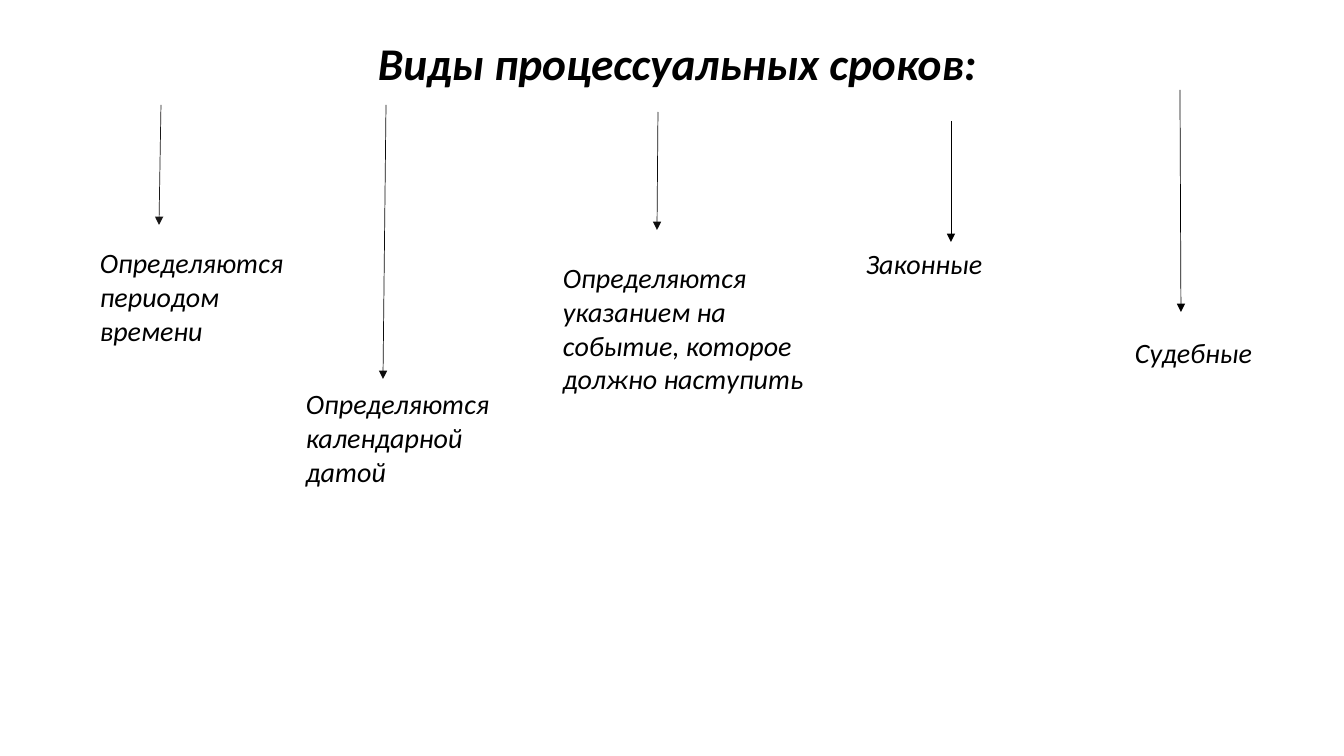
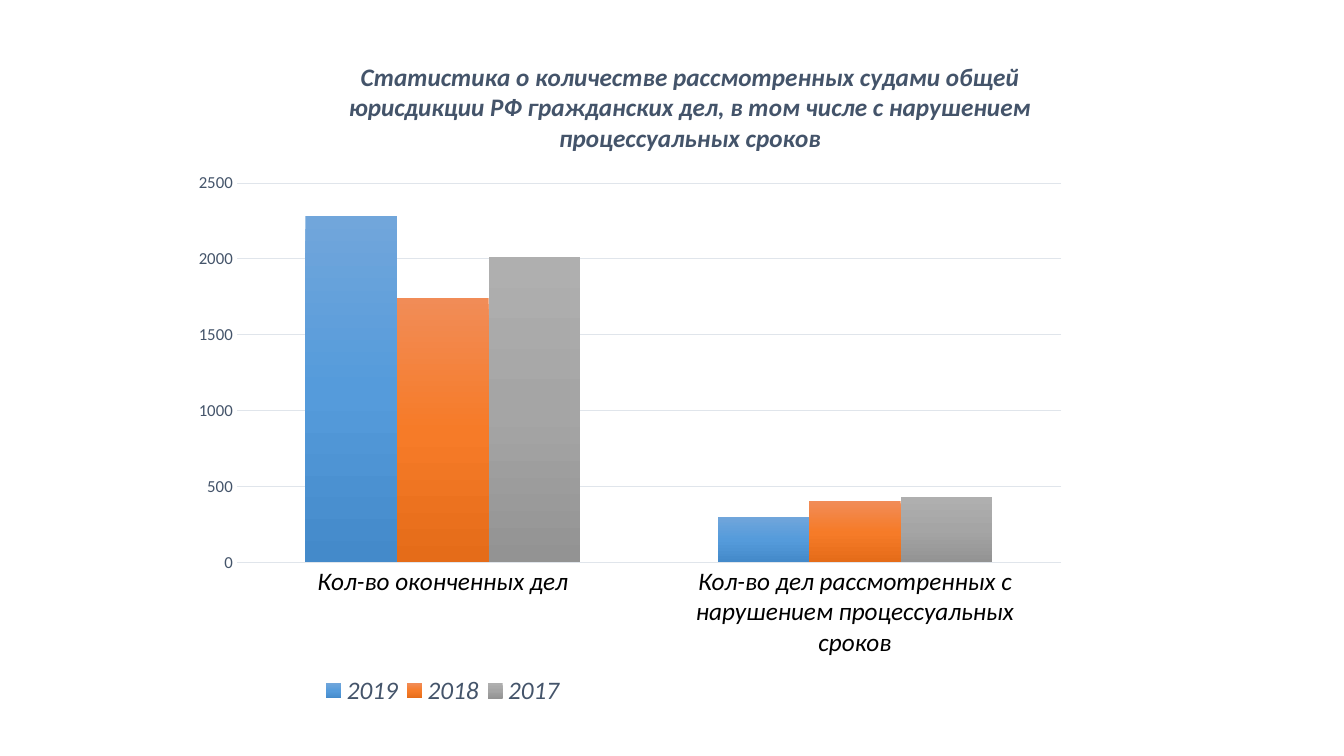
import copy
import pptx
import pptx.chart.data
import pptx.dml.color
import pptx.enum.chart
import pptx.enum.shapes
import pptx.enum.text
import pptx.oxml
import pptx.oxml.ns
import pptx.util
from dataclasses import dataclass

RGB = pptx.dml.color.RGBColor.from_string
qn = pptx.oxml.ns.qn
Pt = pptx.util.Pt
PX = 12192000 // 1344  # EMU in one pixel


@dataclass(frozen=True)
class Theme:
    font: str = "Calibri"
    ink: str = "000000"
    soft_ink: str = "0D0D0D"
    warm_ink: str = "181717"
    slate: str = "44546A"
    grid: str = "E0E5EB"
    heading: float = 32.4
    body: int = 20
    chart_text: int = 18
    scale_text: int = 12
    arrow: float = 0.5
    rule: float = 0.75


theme = Theme()


def write_text(frame, text, size=theme.body, color=theme.ink, bold=False,
               align=None, spacing=None):
    paragraph = frame.paragraphs[0]
    paragraph.alignment = align
    paragraph.line_spacing = spacing
    run = paragraph.add_run()
    run.text = text
    run.font.name = theme.font
    run.font.size = Pt(size)
    run.font.bold = bold
    run.font.italic = True
    run.font.color.rgb = RGB(color)


def place_part(part, index, mode="", **fractions):
    """Give a chart part a fixed place, as fractions of the chart."""
    for old in part.findall(qn("c:layout")):
        part.remove(old)
    modes = '<c:xMode val="edge"/><c:yMode val="edge"/>'
    sizes = "".join(f'<c:{key} val="{value}"/>' for key, value in fractions.items())
    part.insert(index, pptx.oxml.parse_xml(
        f'<c:layout {pptx.oxml.ns.nsdecls("c")}><c:manualLayout>'
        f'{mode}{modes}{sizes}</c:manualLayout></c:layout>'))


deck = pptx.Presentation()
deck.slide_width = 1344 * PX
deck.slide_height = 756 * PX
blank = deck.slide_layouts[6]
CENTER = pptx.enum.text.PP_ALIGN.CENTER

# Slide 1: kinds of terms
kinds = deck.slides.add_slide(blank)
heading = kinds.shapes.add_textbox(98 * PX, 31 * PX, 1159 * PX, 95 * PX).text_frame
heading.word_wrap = True
heading.margin_top = 10 * PX
write_text(heading, "Виды процессуальных сроков:", size=theme.heading, bold=True,
           align=CENTER, spacing=0.9)

# Each kind: text, box, arrow ends, arrow colour
branches = [
    ("Определяются периодом времени", (90, 241, 207, 112),
     (161, 105, 159, 225), theme.warm_ink),
    ("Определяются календарной датой", (296, 382, 236, 112),
     (386, 105, 383, 379), theme.soft_ink),
    ("Определяются указанием на событие, которое должно наступить",
     (553, 256, 270, 146), (658, 112, 657, 230), theme.soft_ink),
    ("Законные", (856, 242, 228, 44), (951, 121, 951, 242), theme.ink),
    ("Судебные", (1125, 331, 186, 44), (1180, 90, 1181, 312), theme.ink),
]
for kind, box, ends, color in branches:
    arrow = kinds.shapes.add_connector(
        pptx.enum.shapes.MSO_CONNECTOR.STRAIGHT, *(n * PX for n in ends))
    arrow.line.color.rgb = RGB(color)
    arrow.line.width = Pt(theme.arrow)
    arrow.line._get_or_add_ln().append(pptx.oxml.parse_xml(
        f'<a:tailEnd {pptx.oxml.ns.nsdecls("a")} type="triangle"/>'))
    arrow._element.spPr.append(pptx.oxml.parse_xml(
        f'<a:effectLst {pptx.oxml.ns.nsdecls("a")}/>'))
    label = kinds.shapes.add_textbox(*(n * PX for n in box)).text_frame
    label.word_wrap = True
    label.auto_size = pptx.enum.text.MSO_AUTO_SIZE.SHAPE_TO_FIT_TEXT
    write_text(label, kind)

# Slide 2: case statistics
statistics = deck.slides.add_slide(blank)
years = [
    ("2019", (2280, 300), ("71A6DB", "559BDB", "448ACA")),
    ("2018", (1740, 400), ("F18C57", "F67B28", "E56C19")),
    ("2017", (2010, 430), ("AFAFAF", "A5A5A5", "939393")),
]
cases = pptx.chart.data.CategoryChartData()
cases.categories = ["Кол-во оконченных дел",
                    "Кол-во дел рассмотренных с нарушением процессуальных сроков"]
for year, counts, _ in years:
    cases.add_series(year, counts)
chart = statistics.shapes.add_chart(
    pptx.enum.chart.XL_CHART_TYPE.COLUMN_CLUSTERED,
    183 * PX, 41 * PX, 896 * PX, 677 * PX, cases).chart
chart.font.name = theme.font
chart.font.size = Pt(10)
chart.font.color.rgb = RGB(theme.ink)

write_text(chart.chart_title.text_frame,
           "Статистика о количестве рассмотренных судами общей юрисдикции РФ "
           "гражданских дел, в том числе с нарушением процессуальных сроков",
           size=theme.chart_text, color=theme.slate, bold=True, align=CENTER)

# Columns with three-stop gradients
plot = chart.plots[0]
plot.gap_width = 150
plot.overlap = 0
plot.vary_by_categories = False
for series, (_, _, shades) in zip(plot.series, years):
    fill = series.format.fill
    fill.gradient()
    fill.gradient_angle = 270
    stops = series._element.find(".//" + qn("a:gsLst"))
    stops.append(copy.deepcopy(stops[0]))
    for stop, position, shade in zip(fill.gradient_stops, (0, 0.5, 1), shades):
        stop.position = position
        stop.color.rgb = RGB(shade)

# Axes and legend
category_axis, value_axis = chart.category_axis, chart.value_axis
value_axis.minimum_scale = 0
value_axis.maximum_scale = 2500
value_axis.major_unit = 500
value_axis.has_major_gridlines = True
value_axis.format.line.fill.background()
for axis in (category_axis, value_axis):
    axis.major_tick_mark = pptx.enum.chart.XL_TICK_MARK.NONE
for line in (category_axis.format.line, value_axis.major_gridlines.format.line):
    line.color.rgb = RGB(theme.grid)
    line.width = Pt(theme.rule)

chart.has_legend = True
legend = chart.legend
legend.position = pptx.enum.chart.XL_LEGEND_POSITION.BOTTOM
legend.include_in_layout = False
for font, size, color, italic in (
        (category_axis.tick_labels.font, theme.chart_text, theme.ink, True),
        (value_axis.tick_labels.font, theme.scale_text, theme.slate, False),
        (legend.font, theme.chart_text, theme.slate, True)):
    font.name = theme.font
    font.size = Pt(size)
    font.italic = italic
    font.color.rgb = RGB(color)

# Places of the chart parts
place_part(chart.chart_title._element, 1, x=0.18, y=0.02)
place_part(legend._element, 1, x=0.15, y=0.93, w=0.28, h=0.06)
place_part(chart._chartSpace.chart.plotArea, 0,
           '<c:layoutTarget val="inner"/>', x=0.06, y=0.21, w=0.92, h=0.56)

deck.save("out.pptx")
